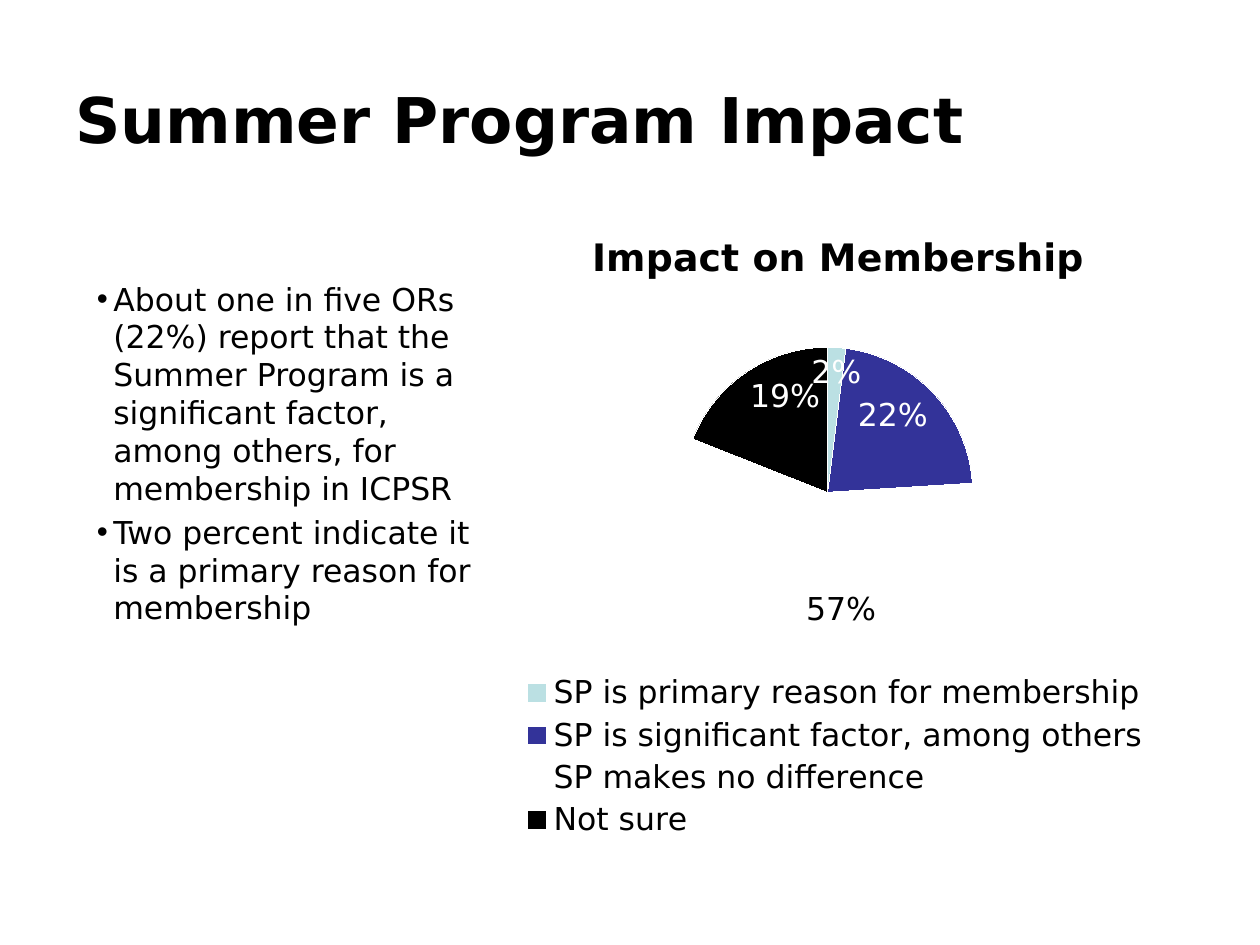
from lxml.etree import SubElement, Element
from pptx import Presentation
from pptx.chart.data import CategoryChartData as Data
from pptx.dml.color import RGBColor as RGB
from pptx.enum.chart import XL_CHART_TYPE as Kind, XL_LABEL_POSITION as Spot
from pptx.enum.chart import XL_LEGEND_POSITION as Side
from pptx.enum.text import MSO_ANCHOR as Anchor, MSO_AUTO_SIZE as Auto, PP_ALIGN as Align
from pptx.oxml.ns import qn
from pptx.util import Cm, Pt

FONT = "DejaVu Sans"
BLACK, WHITE = RGB(0, 0, 0), RGB(255, 255, 255)
AQUA, NAVY = RGB(0xBB, 0xE0, 0xE3), RGB(0x33, 0x33, 0x99)

TITLE = "Summer Program Impact"
POINTS = [
    "About one in five ORs (22%) report that the Summer Program is a "
    "significant factor, among others, for membership in ICPSR",
    "Two percent indicate it is a primary reason for membership",
]
HEAD = "Impact on Membership"
SLICES = [
    ("SP is primary reason for membership", 0.02, AQUA, WHITE),
    ("SP is significant factor, among others", 0.22, NAVY, WHITE),
    ("SP makes no difference", 0.57, WHITE, BLACK),
    ("Not sure", 0.19, BLACK, WHITE),
]


def style(font, size=18, bold=False, color=BLACK):
    font.name, font.size, font.bold = FONT, Pt(size), bold
    font.color.rgb = color


def write(shape, lines, box, anchor=Anchor.TOP, bullet=False, **look):
    shape.left, shape.top, shape.width, shape.height = map(Cm, box)
    frame = shape.text_frame
    frame.text = "\n".join(lines)
    frame.word_wrap, frame.auto_size = True, Auto.NONE
    frame.vertical_anchor = anchor
    for i, para in enumerate(frame.paragraphs):
        para.alignment = Align.LEFT
        para.space_before = Pt(3.6 if i else 0)
        if bullet:
            props = para._p.get_or_add_pPr()
            props.set("marL", str(Cm(0.33)))
            props.set("indent", str(-Cm(0.33)))
            SubElement(props, qn("a:buChar"), char="•")
        for run in para.runs:
            style(run.font, **look)


def place(part, index, **area):
    for old in part.findall(qn("c:layout")):
        part.remove(old)
    layout = Element(qn("c:layout"))
    part.insert(index, layout)
    manual = SubElement(layout, qn("c:manualLayout"))
    for axis in "xy":
        SubElement(manual, qn(f"c:{axis}Mode"), val="edge")
    for key, val in area.items():
        SubElement(manual, qn(f"c:{key}"), val=str(val))


def draw(slide):
    data = Data(number_format="0%")
    data.categories = [name for name, *_ in SLICES]
    data.add_series(HEAD, [val for _, val, *_ in SLICES])
    box = map(Cm, (9.09, 4.01, 15.04, 13))
    chart = slide.shapes.add_chart(Kind.PIE, *box, data).chart
    style(chart.font)

    chart.has_title = True
    frame = chart.chart_title.text_frame
    frame.text = HEAD
    style(frame.paragraphs[0].runs[0].font, size=21.6, bold=True)
    place(chart.chart_title._element, 1, x=0.18, y=0.04)

    chart.has_legend = True
    legend = chart.legend
    legend.position, legend.include_in_layout = Side.BOTTOM, False
    style(legend.font)
    place(legend._element, 1, x=0.08, y=0.73, w=0.87, h=0.27)

    plot = chart.plots[0]
    plot.vary_by_categories = True
    place(plot._element.getparent(), 0, x=0.31, y=0.23, w=0.39, h=0.45)
    plot.has_data_labels = True
    labels = plot.data_labels
    labels.show_value, labels.show_percentage = True, False
    labels.number_format, labels.number_format_is_linked = "0%", False
    labels.position = Spot.INSIDE_END
    style(labels.font, color=WHITE)

    for i, (_, _, fill, ink) in enumerate(SLICES):
        point = plot.series[0].points[i]
        point.format.fill.solid()
        point.format.fill.fore_color.rgb = fill
        point.format.line.color.rgb = WHITE
        style(point.data_label.font, color=ink)
        point.data_label.position = Spot.INSIDE_END


def main():
    deck = Presentation()
    deck.slide_width, deck.slide_height = Cm(25.4), Cm(19.05)
    slide = deck.slides.add_slide(deck.slide_layouts[1])
    title, body = slide.placeholders
    write(title, [TITLE], (1.27, 0.76, 20.52, 3.23),
          anchor=Anchor.MIDDLE, size=36, bold=True)
    draw(slide)
    write(body, POINTS, (1.7, 5.51, 8.36, 8.46), bullet=True)
    slide.shapes._spTree.append(body._element)
    deck.save("out.pptx")


if __name__ == "__main__":
    main()
